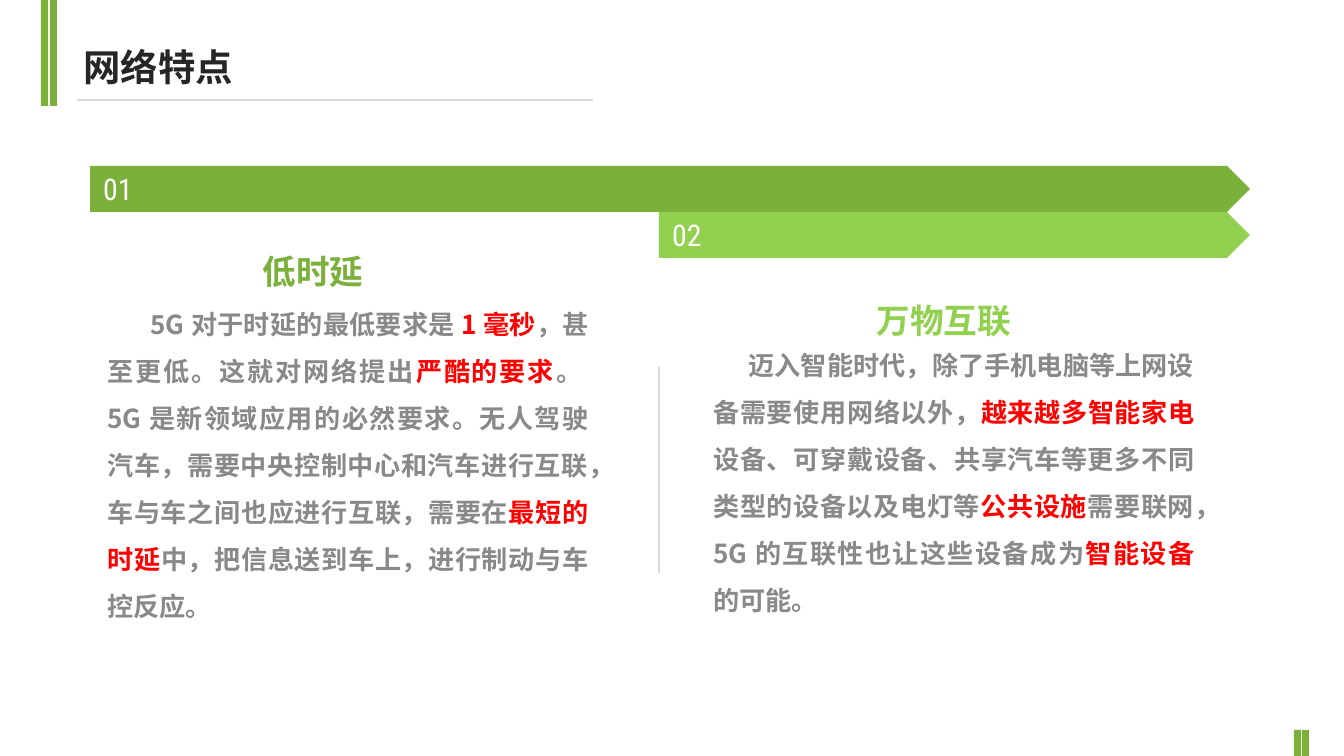
"""Build the slide on 5G network features with two numbered columns."""
from lxml import etree
from pptx import Presentation
from pptx.dml.color import RGBColor
from pptx.enum.shapes import MSO_CONNECTOR, MSO_SHAPE
from pptx.enum.text import MSO_ANCHOR, MSO_AUTO_SIZE, PP_ALIGN
from pptx.oxml.ns import qn
from pptx.util import Emu, Pt

PENTAGON, RECTANGLE = MSO_SHAPE.PENTAGON, MSO_SHAPE.RECTANGLE
STRAIGHT = MSO_CONNECTOR.STRAIGHT
TOP, MIDDLE = MSO_ANCHOR.TOP, MSO_ANCHOR.MIDDLE
LEFT, JUSTIFY = PP_ALIGN.LEFT, PP_ALIGN.JUSTIFY
NO_FIT = MSO_AUTO_SIZE.NONE

PX = 914400 / 134.4
COMPARISON_LAYOUT = 4
LINE_RATIO = 1.8
THEME = {
    "green": "7BB03B", "lime": "92D050", "rule": "D9D9D9", "ink": "262626",
    "gray": "898989", "red": "FF0000", "white": "FFFFFF",
    "cjk": "Noto Sans CJK SC", "condensed": "Roboto Condensed", "latin": "Arial",
    "title": 20, "number": 16, "heading": 18, "body": 14, "rule_width": 0.75,
}

TITLE = {"text": "网络特点", "at": (70, 15, 568, 59)}
COLUMNS = [
    {
        "number": "01", "color": "green", "arrow_left": 90, "arrow_top": 166,
        "heading": "低时延", "heading_font": "cjk", "heading_at": (249, 224, 278, 54),
        "body_at": (94, 286, 508, 388), "indent": 43,
        "body": [
            ("5G对于时延的最低要求是", "gray"),
            ("1毫秒", "red"),
            ("，甚至更低。这就对网络提出", "gray"),
            ("严酷的要求", "red"),
            ("。5G是新领域应用的必然要求。无人驾驶汽车，需要中央控制中心和汽车进行互联，"
             "车与车之间也应进行互联，需要在", "gray"),
            ("最短的时延", "red"),
            ("中，把信息送到车上，进行制动与车控反应。", "gray"),
        ],
    },
    {
        "number": "02", "color": "lime", "arrow_left": 659, "arrow_top": 212,
        "heading": "万物互联", "heading_font": "latin", "heading_at": (863, 273, 278, 54),
        "body_at": (700, 327, 508, 388), "indent": 35,
        "body": [
            ("迈入智能时代，除了手机电脑等上网设备需要使用网络以外，", "gray"),
            ("越来越多智能家电", "red"),
            ("设备、可穿戴设备、共享汽车等更多不同类型的设备以及电灯等", "gray"),
            ("公共设施", "red"),
            ("需要联网，5G的互联性也让这些设备成为", "gray"),
            ("智能设备", "red"),
            ("的可能。", "gray"),
        ],
    },
]
ARROW_RIGHT, ARROW_HEIGHT = 1250, 46
RULES = [(77, 100, 593, 100), (659, 367, 659, 573)]
BARS = [(left, top, 7, height)
        for lefts, top, height in [((41, 50), 0, 106), ((1294, 1302), 730, 26)]
        for left in lefts]


def emu(lengths):
    return [Emu(round(length * PX)) for length in lengths]


def color(name):
    return RGBColor.from_string(THEME[name])


def apply(target, values):
    for name, value in values.items():
        setattr(target, name, value)


def write(box, spans, font, size, bold=True, align=LEFT, anchor=TOP, indent=0):
    """Fill a shape with one paragraph of coloured spans."""
    frame = box.text_frame
    apply(frame, {"word_wrap": True, "auto_size": NO_FIT, "vertical_anchor": anchor})
    para = frame.paragraphs[0]
    apply(para, {"alignment": align, "space_before": Pt(0),
                 "line_spacing": Pt(THEME[size] * LINE_RATIO) if bold else 1.0})
    properties = para._p.get_or_add_pPr()
    properties.set("marL", "0")
    properties.set("indent", str(emu([indent])[0]))
    etree.SubElement(properties, qn("a:buNone"))
    for text, shade in spans:
        span = para.add_run()
        span.text = text
        apply(span.font, {"name": THEME[font], "size": Pt(THEME[size]), "bold": bold})
        span.font.color.rgb = color(shade)
        east_asian = etree.Element(qn("a:ea"), typeface=THEME["cjk"])
        span._r.rPr.find(qn("a:latin")).addnext(east_asian)


def place(box, at):
    apply(box, dict(zip(("left", "top", "width", "height"), emu(at))))
    return box


def add_block(page, kind, at, fill):
    block = page.shapes.add_shape(kind, *emu(at))
    block.shadow.inherit = False
    block.fill.solid()
    block.fill.fore_color.rgb = color(fill)
    block.line.fill.background()
    return block


def add_rule(page, ends):
    rule = page.shapes.add_connector(STRAIGHT, *emu(ends))
    rule.line.color.rgb = color("rule")
    rule.line.width = Pt(THEME["rule_width"])
    etree.SubElement(rule._element.spPr, qn("a:effectLst"))


def add_column(page, column, heading, body):
    left, top = column["arrow_left"], column["arrow_top"]
    arrow = add_block(page, PENTAGON, (left, top, ARROW_RIGHT - left, ARROW_HEIGHT),
                      column["color"])
    write(arrow, [(column["number"], "white")], "condensed", "number",
          bold=False, anchor=MIDDLE)
    write(place(heading, column["heading_at"]), [(column["heading"], column["color"])],
          column["heading_font"], "heading")
    write(place(body, column["body_at"]), column["body"], "cjk", "body",
          align=JUSTIFY, indent=column["indent"])


def main():
    deck = Presentation()
    deck.slide_width, deck.slide_height = emu((1344, 756))
    page = deck.slides.add_slide(deck.slide_layouts[COMPARISON_LAYOUT])
    title, *slots = page.placeholders
    write(place(title, TITLE["at"]), [(TITLE["text"], "ink")], "condensed", "title")
    for ends in RULES:
        add_rule(page, ends)
    for column, heading, body in zip(COLUMNS, slots[::2], slots[1::2]):
        add_column(page, column, heading, body)
    for bar in BARS:
        add_block(page, RECTANGLE, bar, "green")
    deck.save("out.pptx")


if __name__ == "__main__":
    main()
